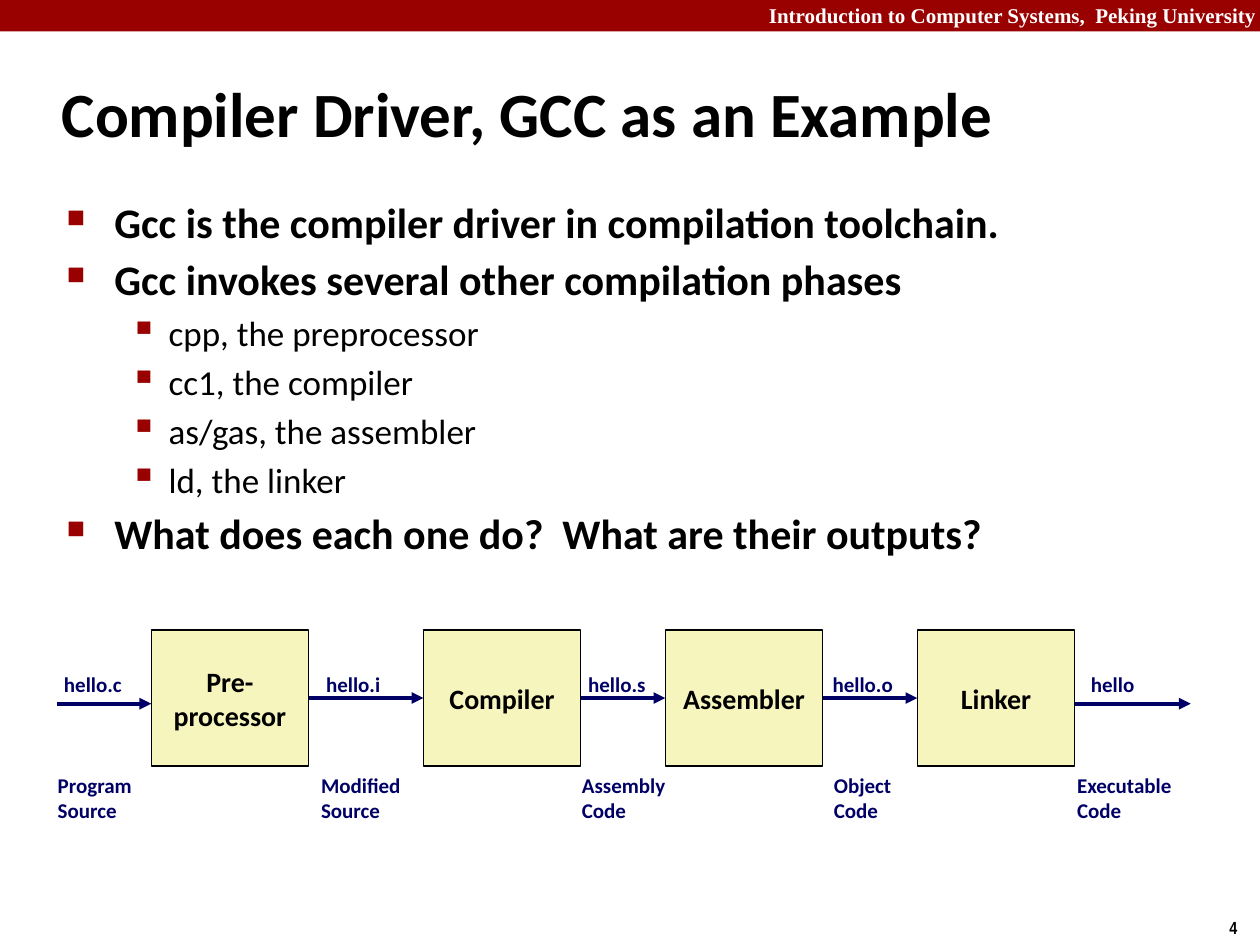
import dataclasses

import lxml.etree
import pptx
import pptx.dml.color
import pptx.enum.shapes
import pptx.enum.text
import pptx.oxml.ns
import pptx.util

ALIGN = pptx.enum.text.PP_ALIGN
ANCHOR = pptx.enum.text.MSO_ANCHOR
AUTO_SIZE = pptx.enum.text.MSO_AUTO_SIZE
SHAPE = pptx.enum.shapes.MSO_SHAPE


@dataclasses.dataclass(frozen=True)
class Theme:
    band: str = "990000"
    ink: str = "000000"
    paper: str = "FFFFFF"
    flow: str = "000066"
    stage: str = "F6F5BD"
    body_font: str = "Calibri"
    header_font: str = "Times New Roman"
    number_font: str = "Arial Narrow"
    title_size: int = 36
    point_size: int = 24
    subpoint_size: int = 20
    stage_size: int = 16
    label_size: int = 12
    number_size: int = 10


THEME = Theme()

# The slide is a grid of 100 columns by 75 rows
CELL = pptx.util.Inches(0.1)
COLUMNS, ROWS = 100, 75

# Bullet levels: character, size in percent, left margin and hang in columns
BULLETS = [("■", 60, 3.8, 3.8), ("▪", 110, 8.1, 3.1)]
POINTS = [
    (0, "Gcc is the compiler driver in compilation toolchain."),
    (0, "Gcc invokes several other compilation phases"),
    (1, "cpp, the preprocessor"),
    (1, "cc1, the compiler"),
    (1, "as/gas, the assembler"),
    (1, "ld, the linker"),
    (0, "What does each one do?  What are their outputs?"),
]

# Compilation flow
STAGE_TOP, STAGE_WIDTH, STAGE_HEIGHT = 50, 12.5, 10.8
STAGES = [(12, "Pre-\nprocessor"), (33.6, "Compiler"),
          (52.8, "Assembler"), (72.8, "Linker")]
FLOW_START, FLOW_END = 4.5, 94.5
# Text with left edge and width, in columns
FILES = [("hello.c", 4.1, 6.7), ("hello.i", 24.9, 6.4), ("hello.s", 45.7, 6.6),
         ("hello.o", 65.1, 6.9), ("hello", 85.6, 5.5)]
FORMS = [("Program\nSource", 3.6, 7.9), ("Modified\nSource", 24.5, 8.4),
         ("Assembly\nCode", 45.2, 8.7), ("Object\nCode", 65.2, 6.6),
         ("Executable\nCode", 84.5, 9.6)]


def cells(*counts):
    return [round(count * CELL) for count in counts]


def color(value):
    return pptx.dml.color.RGBColor.from_string(value)


def style_text(frame, size, ink=THEME.ink, font=THEME.body_font, bold=True,
               align=ALIGN.LEFT):
    for para in frame.paragraphs:
        para.alignment = align
        for span in para.runs:
            span.font.name = font
            span.font.size = pptx.util.Pt(size)
            span.font.bold = bold
            span.font.color.rgb = color(ink)


def add_text(page, text, place, size, wrap=False, **style):
    box = page.shapes.add_textbox(*cells(*place))
    box.text_frame.word_wrap = wrap
    box.text_frame.text = text
    style_text(box.text_frame, size, **style)


def add_block(page, place, fill, line=None):
    block = page.shapes.add_shape(SHAPE.RECTANGLE, *cells(*place))
    block.shadow.inherit = False
    block.fill.solid()
    block.fill.fore_color.rgb = color(fill)
    if line:
        block.line.color.rgb = color(line)
        block.line.width = pptx.util.Pt(0.75)
    else:
        block.line.fill.background()
    return block


def add_stage(page, left, name):
    place = (left, STAGE_TOP, STAGE_WIDTH, STAGE_HEIGHT)
    block = add_block(page, place, THEME.stage, THEME.ink)
    frame = block.text_frame
    frame.word_wrap = False
    frame.vertical_anchor = ANCHOR.MIDDLE
    frame.text = name
    style_text(frame, THEME.stage_size, align=ALIGN.CENTER)


def add_child(parent, tag, **attributes):
    return lxml.etree.SubElement(parent, pptx.oxml.ns.qn(tag), attributes)


def add_arrow(page, start, end, row):
    arrow = page.shapes.add_connector(
        pptx.enum.shapes.MSO_CONNECTOR.STRAIGHT, *cells(start, row, end, row))
    arrow.line.color.rgb = color(THEME.flow)
    arrow.line.width = pptx.util.Pt(2.25)
    add_child(arrow.line._get_or_add_ln(), "a:tailEnd", type="triangle")
    add_child(arrow._element.spPr, "a:effectLst")


def set_bullet(para, level):
    mark, percent, margin, hang = BULLETS[level]
    props = para._p.get_or_add_pPr()
    left, indent = cells(margin, -hang)
    props.set("marL", str(left))
    props.set("indent", str(indent))
    add_child(add_child(props, "a:buClr"), "a:srgbClr", val=THEME.band)
    add_child(props, "a:buSzPct", val=str(percent * 1000))
    add_child(props, "a:buChar", char=mark)


def add_points(page):
    box = page.shapes.add_textbox(*cells(4.3, 15.1, 86.4, 30))
    frame = box.text_frame
    frame.word_wrap = True
    frame.text = "\n".join(text for _, text in POINTS)
    style_text(frame, THEME.point_size)
    for order, (para, (level, _)) in enumerate(zip(frame.paragraphs, POINTS)):
        para.level = level
        set_bullet(para, level)
        if order:
            para.space_before = pptx.util.Pt(4)
        if level:
            para.runs[0].font.size = pptx.util.Pt(THEME.subpoint_size)
            para.runs[0].font.bold = False


def set_title(page, text):
    title = page.shapes.title
    title.left, title.top, title.width, title.height = cells(3.9, 4.8, 83, 8.3)
    frame = title.text_frame
    frame.text = text
    frame.auto_size = AUTO_SIZE.NONE
    frame.vertical_anchor = ANCHOR.MIDDLE
    style_text(frame, THEME.title_size)


def add_flow(page):
    for left, name in STAGES:
        add_stage(page, left, name)

    # Arrows run from each stage's right edge to the next stage
    starts = [FLOW_START] + [left + STAGE_WIDTH for left, _ in STAGES]
    ends = [left for left, _ in STAGES] + [FLOW_END]
    middle = STAGE_TOP + STAGE_HEIGHT / 2
    for start, end in zip(starts, ends):
        outer = start == FLOW_START or end == FLOW_END
        add_arrow(page, start, end, middle + 0.45 * outer)

    # File names above the arrows, program forms below the stages
    for labels, top, height in ((FILES, 52.8, 3.1),
                                (FORMS, STAGE_TOP + STAGE_HEIGHT, 5.1)):
        for text, left, width in labels:
            add_text(page, text, (left, top, width, height),
                     THEME.label_size, ink=THEME.flow)


def main():
    deck = pptx.Presentation()
    deck.slide_width, deck.slide_height = cells(COLUMNS, ROWS)
    page = deck.slides.add_slide(deck.slide_layouts[5])

    # Header band and page number
    add_block(page, (0, 0, COLUMNS, 2.5), THEME.band)
    add_text(page, "Introduction to Computer Systems,  Peking University",
             (60, -0.3, 40.7, 3), THEME.label_size, wrap=True,
             ink=THEME.paper, font=THEME.header_font, align=ALIGN.RIGHT)
    add_text(page, "4", (96.6, 72.3, 3.4, 2.7), THEME.number_size,
             font=THEME.number_font)

    # Content
    set_title(page, "Compiler Driver, GCC as an Example")
    add_points(page)
    add_flow(page)
    deck.save("out.pptx")


if __name__ == "__main__":
    main()
